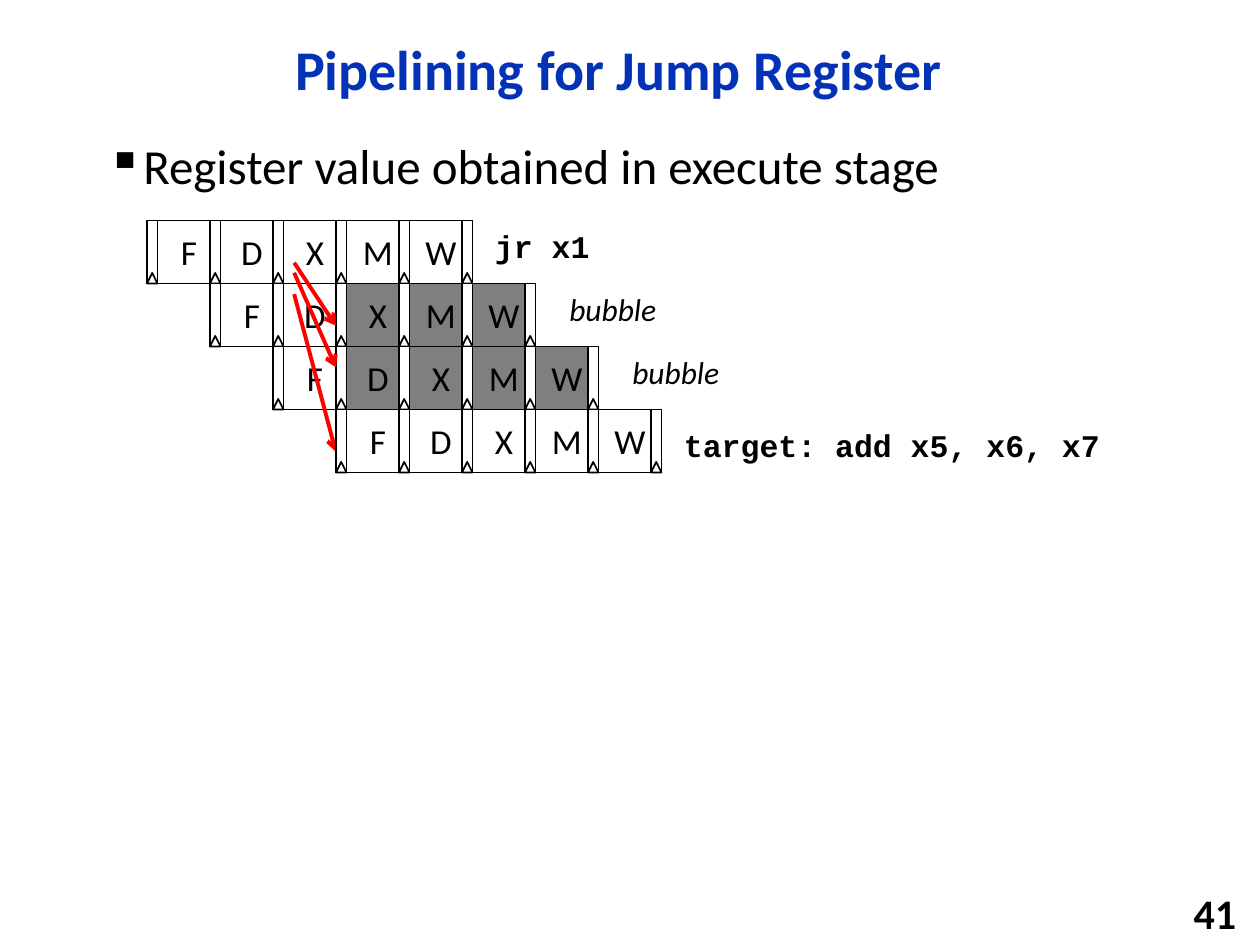
from lxml.etree import SubElement
from pptx import Presentation
from pptx.dml.color import RGBColor
from pptx.enum.shapes import MSO_CONNECTOR, MSO_SHAPE
from pptx.enum.text import MSO_ANCHOR, MSO_AUTO_SIZE, PP_ALIGN
from pptx.oxml.ns import qn
from pptx.util import Inches, Pt

BLACK = RGBColor(0x00, 0x00, 0x00)
WHITE = RGBColor(0xFF, 0xFF, 0xFF)
GRAY = RGBColor(0x7F, 0x7F, 0x7F)
BLUE = RGBColor(0x03, 0x32, 0xB7)
RED = RGBColor(0xFF, 0x00, 0x00)

CELL = 0.5
COLUMNS, ROWS = 20, 15
FIRST_COLUMN, FIRST_ROW = 2.5, 3.5
REGISTER = 1 / 6
STAGES = "FDXMW"

CODE = {"name": "Courier New", "size": Pt(18), "bold": True}
BUBBLE = {"size": Pt(18), "italic": True}
INSTRUCTIONS = [
    ("jr x1", CODE, 7.66, 3.5, 1.92, 5),
    ("bubble", BUBBLE, 8.84, 4.5, 1.92, 2),
    ("bubble", BUBBLE, 9.84, 5.5, 1.92, 1),
    ("target: add x5, x6, x7", CODE, 10.66, 6.66, 7.06, 5),
]
ARROWS = [(4.33, 5.83), (4.17, 5.17), (4.67, 7.17)]


def grid(*cells):
    return [Inches(CELL * cell) for cell in cells]


def set_all(target, values):
    for name, value in values.items():
        setattr(target, name, value)


class PipelineSlide:
    font = {"name": "Calibri", "size": Pt(20)}

    def __init__(self, page):
        self.page = page

    def fill_text(self, frame, words, font, color=BLACK, **layout):
        para = frame.paragraphs[0]
        set_all(para, layout)
        span = para.add_run()
        span.text = words
        set_all(span.font, {**self.font, **font})
        span.font.color.rgb = color
        return para

    def text(self, place, words, font, color=BLACK, frame_format=None, **layout):
        box = self.page.shapes.add_textbox(*grid(*place))
        set_all(box.text_frame, {"word_wrap": True, **(frame_format or {})})
        return self.fill_text(box.text_frame, words, font, color, **layout)

    def bullet(self, place, words, font):
        para = self.text(place, words, font, line_spacing=0.9)
        properties = para._p.get_or_add_pPr()
        properties.set("marL", str(Inches(0.25)))
        properties.set("indent", str(-Inches(0.25)))
        SubElement(properties, qn("a:buChar")).set("char", "▪")

    def shape(self, kind, place, fill=WHITE):
        shape = self.page.shapes.add_shape(kind, *grid(*place))
        shape.shadow.inherit = False
        shape.fill.solid()
        shape.fill.fore_color.rgb = fill
        shape.line.color.rgb = BLACK
        shape.line.width = Pt(1)
        return shape

    def stage(self, column, row, letter, fill):
        frame = self.shape(MSO_SHAPE.RECTANGLE, (column, row, 1, 1), fill).text_frame
        set_all(frame, {"margin_left": 0, "margin_right": 0, "margin_top": 0,
                        "margin_bottom": 0, "vertical_anchor": MSO_ANCHOR.MIDDLE})
        self.fill_text(frame, letter, {}, alignment=PP_ALIGN.CENTER)

    def register(self, edge, row):
        left = edge - REGISTER
        self.shape(MSO_SHAPE.RECTANGLE, (left, row, REGISTER, 1))
        self.shape(MSO_SHAPE.ISOSCELES_TRIANGLE,
                   (left, row + 1 - REGISTER, REGISTER, REGISTER))

    def instruction(self, index, words, font, left, top, width, live_stages):
        column, row = FIRST_COLUMN + index, FIRST_ROW + index
        self.register(column, row)
        for step, letter in enumerate(STAGES):
            self.stage(column + step, row, letter, WHITE if step < live_stages else GRAY)
            self.register(column + step + 1, row)
        self.text((left, top, width, 0.8), words, font, frame_format={
            "word_wrap": False, "auto_size": MSO_AUTO_SIZE.SHAPE_TO_FIT_TEXT})

    def arrow(self, start_row, end_row):
        line = self.page.shapes.add_connector(
            MSO_CONNECTOR.STRAIGHT, *grid(4.67, start_row, 5.33, end_row))
        line.line.color.rgb = RED
        line.line.width = Pt(2.25)
        SubElement(line.line._get_or_add_ln(), qn("a:tailEnd")).set("type", "arrow")
        SubElement(line._element.spPr, qn("a:effectLst"))


def main():
    deck = Presentation()
    deck.slide_width, deck.slide_height = grid(COLUMNS, ROWS)
    slide = PipelineSlide(deck.slides.add_slide(deck.slide_layouts[6]))

    slide.text((1.84, 0.34, 15.96, 1.62), "Pipelining for Jump Register",
               {"size": Pt(32), "bold": True}, BLUE,
               {"vertical_anchor": MSO_ANCHOR.MIDDLE},
               alignment=PP_ALIGN.CENTER, line_spacing=0.9)
    slide.bullet((1.5, 2.16, 16.8, 11.06),
                 "Register value obtained in execute stage", {"size": Pt(28)})
    slide.text((15.66, 14.16, 4.16, 0.64), "41", {"size": Pt(24), "bold": True},
               frame_format={"word_wrap": False, "vertical_anchor": MSO_ANCHOR.MIDDLE},
               alignment=PP_ALIGN.RIGHT)

    *earlier, target = INSTRUCTIONS
    for index, instruction in enumerate(earlier):
        slide.instruction(index, *instruction)
    for rows in ARROWS:
        slide.arrow(*rows)
    slide.instruction(len(earlier), *target)

    deck.save("out.pptx")


if __name__ == "__main__":
    main()
